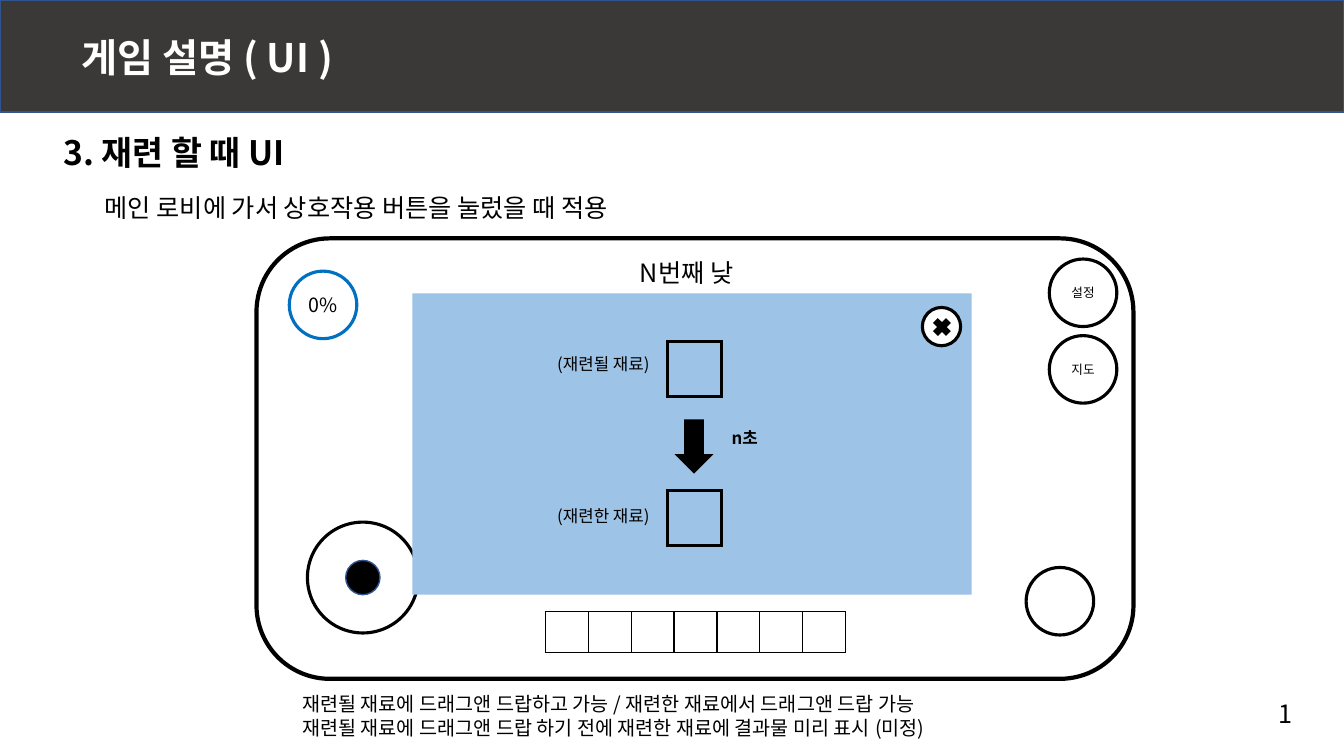
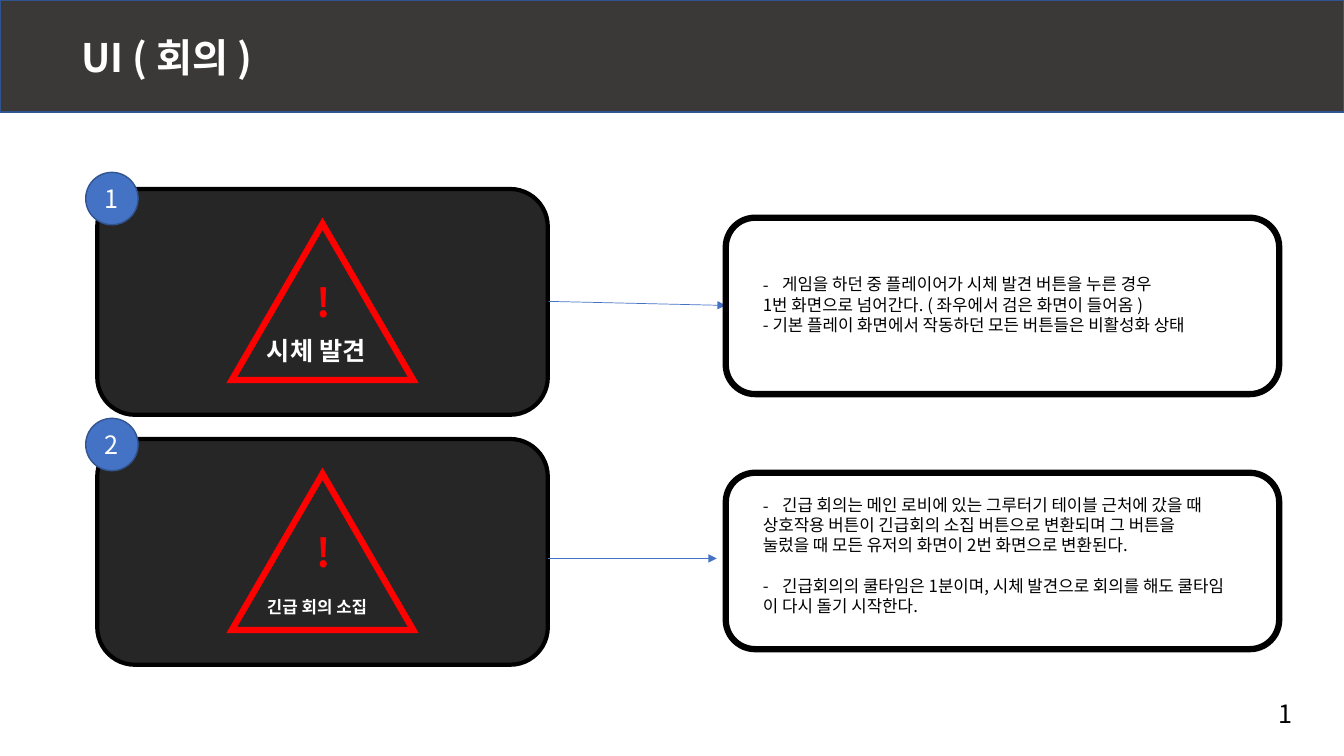
"""Build two slides that explain the game's smelting and meeting screens."""
from dataclasses import dataclass
from typing import NamedTuple, Optional

from lxml import etree
from pptx import Presentation
from pptx.dml.color import RGBColor
from pptx.enum.shapes import MSO_CONNECTOR, MSO_SHAPE
from pptx.enum.text import MSO_ANCHOR, PP_ALIGN
from pptx.oxml.ns import qn
from pptx.util import Inches, Pt

RECT, ROUNDED, OVAL = MSO_SHAPE.RECTANGLE, MSO_SHAPE.ROUNDED_RECTANGLE, MSO_SHAPE.OVAL
TRIANGLE, DOWN_ARROW = MSO_SHAPE.ISOSCELES_TRIANGLE, MSO_SHAPE.DOWN_ARROW
CROSS = MSO_SHAPE.MATH_MULTIPLY
STRAIGHT = MSO_CONNECTOR.STRAIGHT
MIDDLE, TOP = MSO_ANCHOR.MIDDLE, MSO_ANCHOR.TOP
CENTER, LEFT = PP_ALIGN.CENTER, PP_ALIGN.LEFT

CELL = Inches(0.1)
COLUMNS, ROWS = 133.33, 75
FONT = "Noto Sans CJK KR"
LINE_PITCH = 1.2
HANGING = Inches(0.19)

BLACK, WHITE, RED = "000000", "FFFFFF", "FF0000"
BAND, CARD, PANEL = "3B3838", "262626", "9DC3E6"
ACCENT, ACCENT_EDGE, GAUGE = "4472C4", "325491", "0070C0"


class Box(NamedTuple):
    """A place on the grid, in columns and rows."""

    col: float
    row: float
    cols: float
    rows: float


class Edge(NamedTuple):
    """An outline colour with its width in points."""

    color: str
    width: float


class Style(NamedTuple):
    """The look of a piece of text."""

    size: float
    color: str = BLACK
    bold: bool = False


class Para(NamedTuple):
    """One paragraph, with an optional dash and space before in points."""

    text: str
    dash: bool = False
    before: float = 0


@dataclass(frozen=True)
class Alert:
    """A numbered alert screen with the explanation beside it."""

    number: str
    card_row: float
    badge_row: float
    mark_row: float
    caption: str
    caption_row: float
    caption_size: float
    arrow_start: float
    arrow_end: tuple[float, float]
    note_row: float
    text_row: float
    text_rows: float
    paragraphs: tuple[Para, ...]


THIN = Edge(ACCENT_EDGE, 1)
BUTTON = Edge(BLACK, 2.25)
LABEL = Style(12)
BODY = Style(18)

ALERTS = (
    Alert("1", 18.75, 17.1, 27.1, "시체 발견", 32.8, 18, 29.9, (72, 30.3), 21.6, 26.7, 7.1, (
        Para("게임을 하던 중 플레이어가 시체 발견 버튼을 누른 경우", dash=True),
        Para("1번 화면으로 넘어간다. ( 좌우에서 검은 화면이 들어옴 )"),
        Para("- 기본 플레이 화면에서 작동하던 모든 버튼들은 비활성화 상태"),
    )),
    Alert("2", 43.55, 41.5, 51.9, "긴급 회의 소집", 58.7, 12, 55.4, (71.1, 55.4), 46.9, 48.6, 13.1, (
        Para("긴급 회의는 메인 로비에 있는 그루터기 테이블 근처에 갔을 때", dash=True),
        Para("상호작용 버튼이 긴급회의 소집 버튼으로 변환되며 그 버튼을"),
        Para("눌렀을 때 모든 유저의 화면이 2번 화면으로 변환된다."),
        Para("긴급회의의 쿨타임은 1분이며, 시체 발견으로 회의를 해도 쿨타임", dash=True, before=14.4),
        Para("이 다시 돌기 시작한다."),
    )),
)


def rgb(color: str) -> RGBColor:
    """Turn a hex string into a colour."""
    return RGBColor.from_string(color)


def cells(*counts: float) -> list[int]:
    """Turn grid counts into lengths."""
    return [round(count * CELL) for count in counts]


def write(frame, paragraphs: tuple[Para, ...], style: Style, align=LEFT, anchor=TOP) -> None:
    """Fill a text frame with paragraphs in one style."""
    frame.word_wrap = True
    frame.vertical_anchor = anchor
    frame.margin_right = 0
    if align == CENTER:
        frame.margin_left = 0
    frame.text = "\n".join(item.text for item in paragraphs)
    for paragraph, item in zip(frame.paragraphs, paragraphs):
        if item.dash:
            properties = paragraph._p.get_or_add_pPr()
            properties.set("marL", str(HANGING))
            properties.set("indent", str(-HANGING))
            etree.SubElement(properties, qn("a:buFont")).set("typeface", FONT)
            etree.SubElement(properties, qn("a:buChar")).set("char", "-")
        paragraph.alignment = align
        paragraph.line_spacing = Pt(style.size * LINE_PITCH)
        if item.before:
            paragraph.space_before = Pt(item.before)
        for run in paragraph.runs:
            run.font.name = FONT
            run.font.size = Pt(style.size)
            run.font.bold = style.bold
            run.font.color.rgb = rgb(style.color)
            east_asian = etree.SubElement(run._r.get_or_add_rPr(), qn("a:ea"))
            east_asian.set("typeface", FONT)


def add_text(slide, box: Box, style: Style, *paragraphs: Para) -> None:
    """Place left-aligned text."""
    write(slide.shapes.add_textbox(*cells(*box)).text_frame, paragraphs, style)


def add_figure(slide, kind, box: Box, fill: Optional[str] = None, edge: Optional[Edge] = None,
               label: str = "", style: Style = BODY) -> None:
    """Place a preset shape with an optional centred label."""
    figure = slide.shapes.add_shape(kind, *cells(*box))
    figure.shadow.inherit = False
    if fill:
        figure.fill.solid()
        figure.fill.fore_color.rgb = rgb(fill)
    else:
        figure.fill.background()
    if edge:
        figure.line.color.rgb = rgb(edge.color)
        figure.line.width = Pt(edge.width)
        corner = etree.SubElement(figure.line._get_or_add_ln(), qn("a:miter"))
        corner.set("lim", "800000")
    else:
        figure.line.fill.background()
    if label:
        write(figure.text_frame, (Para(label),), style, CENTER, MIDDLE)


def add_arrow(slide, start: tuple[float, float], end: tuple[float, float]) -> None:
    """Draw a thin arrow between two grid points."""
    arrow = slide.shapes.add_connector(STRAIGHT, *cells(*start, *end))
    arrow.line.color.rgb = rgb(ACCENT)
    arrow.line.width = Pt(0.5)
    etree.SubElement(arrow.line._get_or_add_ln(), qn("a:tailEnd")).set("type", "triangle")
    etree.SubElement(arrow._element.spPr, qn("a:effectLst"))


def add_inventory(slide, box: Box, slots: int) -> None:
    """Draw a row of empty item slots."""
    table = slide.shapes.add_table(1, slots, *cells(*box)).table
    for column in table.columns:
        column.width = cells(box.cols / slots)[0]
    for slot in table.iter_cells():
        slot.margin_top = slot.margin_bottom = 0
        properties = slot._tc.get_or_add_tcPr()
        for side in ("lnL", "lnR", "lnT", "lnB"):
            border = etree.SubElement(properties, qn(f"a:{side}"))
            border.set("w", str(Pt(1)))
            paint = etree.SubElement(border, qn("a:solidFill"))
            etree.SubElement(paint, qn("a:srgbClr")).set("val", BLACK)
        slot.fill.solid()
        slot.fill.fore_color.rgb = rgb(WHITE)


def start_slide(deck, title: str):
    """Add a blank slide with the title band and page number."""
    slide = deck.slides.add_slide(deck.slide_layouts[6])
    add_figure(slide, RECT, Box(0, 0, COLUMNS, 11.1), BAND, THIN)
    add_text(slide, Box(7.1, 2.8, 67.7, 5.7), Style(28, WHITE, True), Para(title))
    add_text(slide, Box(125.9, 68.8, 3.4, 4), BODY, Para("1"))
    return slide


def build_smelting(deck) -> None:
    """Draw the smelting screen inside the handheld frame."""
    slide = start_slide(deck, "게임 설명 ( UI )")
    add_text(slide, Box(5.3, 12.6, 40, 5), Style(24, bold=True), Para("3. 재련 할 때 UI"))
    add_text(slide, Box(9.4, 18.6, 60.5, 4), BODY,
             Para("메인 로비에 가서 상호작용 버튼을 눌렀을 때 적용"))

    add_figure(slide, ROUNDED, Box(25.45, 23.65, 87, 43.7), WHITE, Edge(BLACK, 3))
    add_figure(slide, OVAL, Box(30.5, 51.8, 11, 11), edge=BUTTON)
    add_figure(slide, OVAL, Box(34.3, 55.6, 3.4, 3.4), BLACK, THIN)
    add_figure(slide, OVAL, Box(101.8, 56.3, 6.7, 6.7), edge=BUTTON)
    for row, label in ((25.7, "설정"), (33.3, "지도")):
        add_figure(slide, OVAL, Box(104.1, row, 6.7, 6.7), WHITE, BUTTON, label, Style(9))
    add_figure(slide, OVAL, Box(28.7, 26.9, 6.7, 6.7), None, Edge(GAUGE, 2.25), "0%", Style(14))
    add_text(slide, Box(62.5, 25, 13, 4), BODY, Para("N번째 낮"))
    add_inventory(slide, Box(54.1, 60.7, 29.8, 4), 7)

    add_figure(slide, RECT, Box(40.9, 29.1, 55.5, 29.9), PANEL)
    for slot_row, label_row, label in ((33.9, 34.6, "(재련될 재료)"), (48.7, 49.7, "(재련한 재료)")):
        add_figure(slide, RECT, Box(66.2, slot_row, 5.4, 5.4), edge=BUTTON)
        add_text(slide, Box(54.3, label_row, 12, 3), LABEL, Para(label))
    add_figure(slide, DOWN_ARROW, Box(66.9, 41.6, 3.9, 5.4), BLACK)
    add_text(slide, Box(71.6, 41.9, 6.7, 3), Style(12, bold=True), Para("n초"))
    add_figure(slide, OVAL, Box(91.5, 30.5, 3.8, 3.8), WHITE, BUTTON)
    add_figure(slide, CROSS, Box(92.3, 31.3, 2.3, 2.3), BLACK, Edge(BLACK, 1))

    add_text(slide, Box(29, 68.2, 71, 5.7), Style(14),
             Para("재련될 재료에 드래그앤 드랍하고 가능 / 재련한 재료에서 드래그앤 드랍 가능"),
             Para("재련될 재료에 드래그앤 드랍 하기 전에 재련한 재료에 결과물 미리 표시 (미정)"))


def add_alert(slide, alert: Alert) -> None:
    """Draw one alert screen, its arrow and its explanation."""
    add_figure(slide, ROUNDED, Box(9.65, alert.card_row, 44.7, 22.4), CARD, Edge(BLACK, 3))
    add_figure(slide, TRIANGLE, Box(23, alert.card_row + 3.45, 18, 15.5), edge=Edge(RED, 4.5))
    add_text(slide, Box(30.4, alert.mark_row, 3.3, 5.7), Style(28, RED, True), Para("!"))
    add_text(slide, Box(25.5, alert.caption_row, 14, 4),
             Style(alert.caption_size, WHITE, True), Para(alert.caption))
    add_figure(slide, OVAL, Box(8.5, alert.badge_row, 5.2, 5.2), ACCENT, THIN,
               alert.number, Style(18, WHITE))
    add_arrow(slide, (54.4, alert.arrow_start), alert.arrow_end)
    add_figure(slide, ROUNDED, Box(72, alert.note_row, 54.9, 17.5), edge=Edge(BLACK, 4.5))
    add_text(slide, Box(74.7, alert.text_row, 53.1, alert.text_rows), LABEL, *alert.paragraphs)


def build_meeting(deck) -> None:
    """Draw the two alerts that open a meeting."""
    slide = start_slide(deck, "UI ( 회의 )")
    for alert in ALERTS:
        add_alert(slide, alert)


def main() -> None:
    """Build and save the deck."""
    deck = Presentation()
    deck.slide_width, deck.slide_height = cells(COLUMNS, ROWS)
    build_smelting(deck)
    build_meeting(deck)
    deck.save("out.pptx")


if __name__ == "__main__":
    main()
